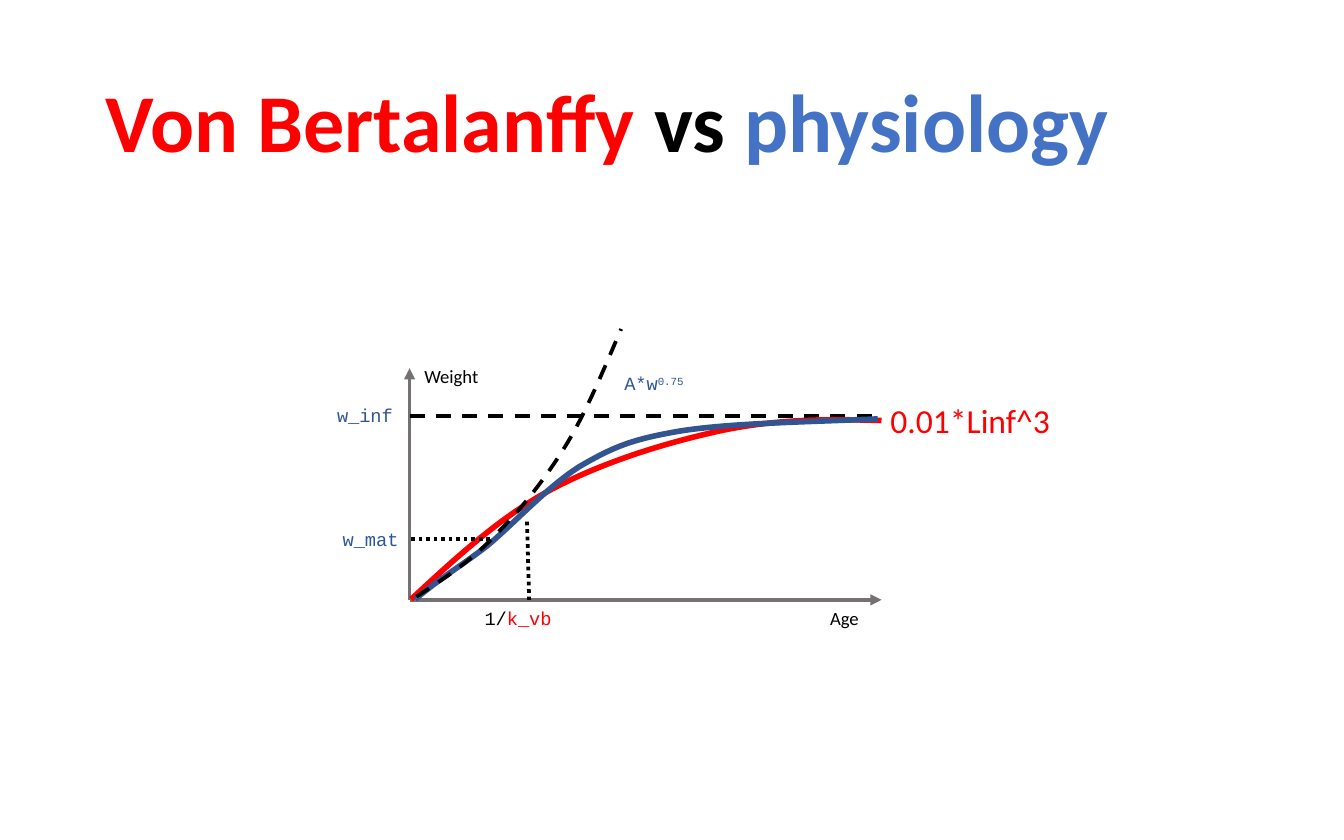
from dataclasses import dataclass

from lxml import etree
from pptx import Presentation
from pptx.dml.color import RGBColor
from pptx.enum.dml import MSO_LINE
from pptx.enum.shapes import MSO_CONNECTOR
from pptx.enum.text import MSO_ANCHOR, MSO_AUTO_SIZE, PP_ALIGN
from pptx.oxml.ns import qn
from pptx.util import Cm, Pt

STRAIGHT = MSO_CONNECTOR.STRAIGHT
DASH, DOT = MSO_LINE.DASH, MSO_LINE.ROUND_DOT
LEFT, RIGHT = PP_ALIGN.LEFT, PP_ALIGN.RIGHT
MIDDLE, TOP = MSO_ANCHOR.MIDDLE, MSO_ANCHOR.TOP
FIT_SHAPE, NO_FIT = MSO_AUTO_SIZE.SHAPE_TO_FIT_TEXT, MSO_AUTO_SIZE.NONE


@dataclass(frozen=True)
class Theme:
    red: str = "FF0000"
    black: str = "000000"
    title_blue: str = "4472C4"
    label_blue: str = "2F5597"
    curve_blue: str = "325491"
    axis: str = "767171"
    sans: str = "Calibri"
    mono: str = "Courier New"
    title_size: int = 44
    limit_size: int = 18
    label_size: int = 10
    curve_width: int = 3
    line_width: int = 2


T = Theme()

# All positions are in centimetres.
X0, Y0 = 7.74, 11.34
X_END, Y_END = 16.66, 6.96
W_INF_Y = 7.87
LABEL_H = 0.69

# Bezier chains: a start point, then two controls and an end per segment.
BERTALANFFY = [(7.77, 11.33), (8.59, 10.57), (9.42, 9.8), (10.39, 9.27),
               (11.38, 8.74), (12.55, 8.38), (13.59, 8.15),
               (14.66, 7.92), (15.65, 7.92), (16.66, 7.95)]
PHYSIOLOGY = [(7.85, 11.33), (8.33, 10.92), (8.69, 10.72), (9.22, 10.31),
              (9.73, 9.88), (10.36, 9.19), (10.97, 8.81),
              (11.58, 8.46), (11.91, 8.31), (12.85, 8.15),
              (13.79, 8), (15.19, 7.98), (16.59, 7.92)]
UNLIMITED_GROWTH = [(7.87, 11.28), (8.38, 10.95), (8.89, 10.62), (9.35, 10.13),
                    (9.8, 9.68), (10.26, 9.12), (10.67, 8.46),
                    (11.07, 7.82), (11.4, 7.01), (11.74, 6.22)]


def style_line(line, color, width, dash=None):
    line.color.rgb = RGBColor.from_string(color)
    line.width = Pt(width)
    if dash:
        line.dash_style = dash


def add_line(shapes, start, end, color=T.black, dash=None, arrow=False):
    c = shapes.add_connector(STRAIGHT, *map(Cm, start + end))
    style_line(c.line, color, T.line_width, dash)
    sp_pr = c._element.spPr
    if arrow:
        etree.SubElement(sp_pr.find(qn("a:ln")), qn("a:tailEnd"), type="triangle")
    etree.SubElement(sp_pr, qn("a:effectLst"))


def bend_segments(sp):
    """Turn every three straight segments into one cubic Bezier segment."""
    segments = list(sp._element.iter(qn("a:lnTo")))
    for i in range(0, len(segments), 3):
        curve = etree.Element(qn("a:cubicBezTo"))
        segments[i].addprevious(curve)
        for segment in segments[i:i + 3]:
            curve.append(segment[0])
            segment.getparent().remove(segment)


def add_curve(shapes, chain, color, width, dash=None):
    first, *rest = [(Cm(x), Cm(y)) for x, y in chain]
    builder = shapes.build_freeform(*first)
    builder.add_line_segments(rest, close=False)
    sp = builder.convert_to_shape()
    bend_segments(sp)
    sp.fill.background()
    sp.shadow.inherit = False
    style_line(sp.line, color, width, dash)


def add_text(shapes, box, runs, font=T.sans, size=T.label_size, bold=False,
             align=LEFT, anchor=TOP, wrap=False, fit=FIT_SHAPE):
    """Add one paragraph made of (text, color) runs; return the paragraph."""
    tf = shapes.add_textbox(*map(Cm, box)).text_frame
    tf.word_wrap = wrap
    tf.auto_size = fit
    tf.vertical_anchor = anchor
    p = tf.paragraphs[0]
    p.alignment = align
    for text, color in runs:
        r = p.add_run()
        r.text = text
        r.font.name = font
        r.font.size = Pt(size)
        r.font.bold = bold
        r.font.color.rgb = RGBColor.from_string(color)
    return p


def add_title(shapes):
    runs = [("Von Bertalanffy ", T.red), ("vs ", T.black),
            ("physiology", T.title_blue)]
    p = add_text(shapes, (1.75, 0.84, 21.9, 3.07), runs, size=T.title_size,
                 bold=True, anchor=MIDDLE, wrap=True, fit=NO_FIT)
    p.line_spacing = 0.9


def add_axes(shapes):
    axes = shapes.add_group_shape().shapes
    for end in ((X_END, Y0), (X0, Y_END)):
        add_line(axes, (X0, Y0), end, T.axis, arrow=True)


def add_labels(shapes):
    add_text(shapes, (15.44, Y0, 1.07, LABEL_H), [("Age", T.black)])
    add_text(shapes, (7.77, 6.78, 1.57, LABEL_H), [("Weight", T.black)])
    add_text(shapes, (6.12, 7.51, 1.57, LABEL_H), [("w_inf", T.label_blue)], T.mono)
    add_text(shapes, (4.88, 9.86, 2.9, LABEL_H), [("w_mat", T.label_blue)], T.mono,
             align=RIGHT, wrap=True)
    add_text(shapes, (8.91, Y0, 1.8, LABEL_H),
             [("1/", T.black), ("k_vb", T.red)], T.mono)
    growth = add_text(shapes, (11.55, 6.91, 1.73, LABEL_H),
                      [("A*w", T.label_blue), ("0.75", T.label_blue)], T.mono)
    growth.runs[1]._r.get_or_add_rPr().set("baseline", "30000")
    add_text(shapes, (16.58, 7.43, 3.56, 1.02), [("0.01*Linf^3", T.red)],
             size=T.limit_size)


def main():
    prs = Presentation()
    prs.slide_width, prs.slide_height = Cm(25.4), Cm(15.88)
    s = prs.slides.add_slide(prs.slide_layouts[6])
    shapes = s.shapes
    add_title(shapes)
    add_axes(shapes)
    add_line(shapes, (X0, W_INF_Y), (X_END, W_INF_Y), dash=DASH)
    add_curve(shapes, BERTALANFFY, T.red, T.curve_width)
    add_labels(shapes)
    add_line(shapes, (7.77, 10.19), (9.35, 10.19), dash=DOT)
    add_line(shapes, (9.96, 9.86), (10, Y0), dash=DOT)
    add_curve(shapes, PHYSIOLOGY, T.curve_blue, T.curve_width)
    add_curve(shapes, UNLIMITED_GROWTH, T.black, T.line_width, DASH)
    prs.save("out.pptx")


if __name__ == "__main__":
    main()
